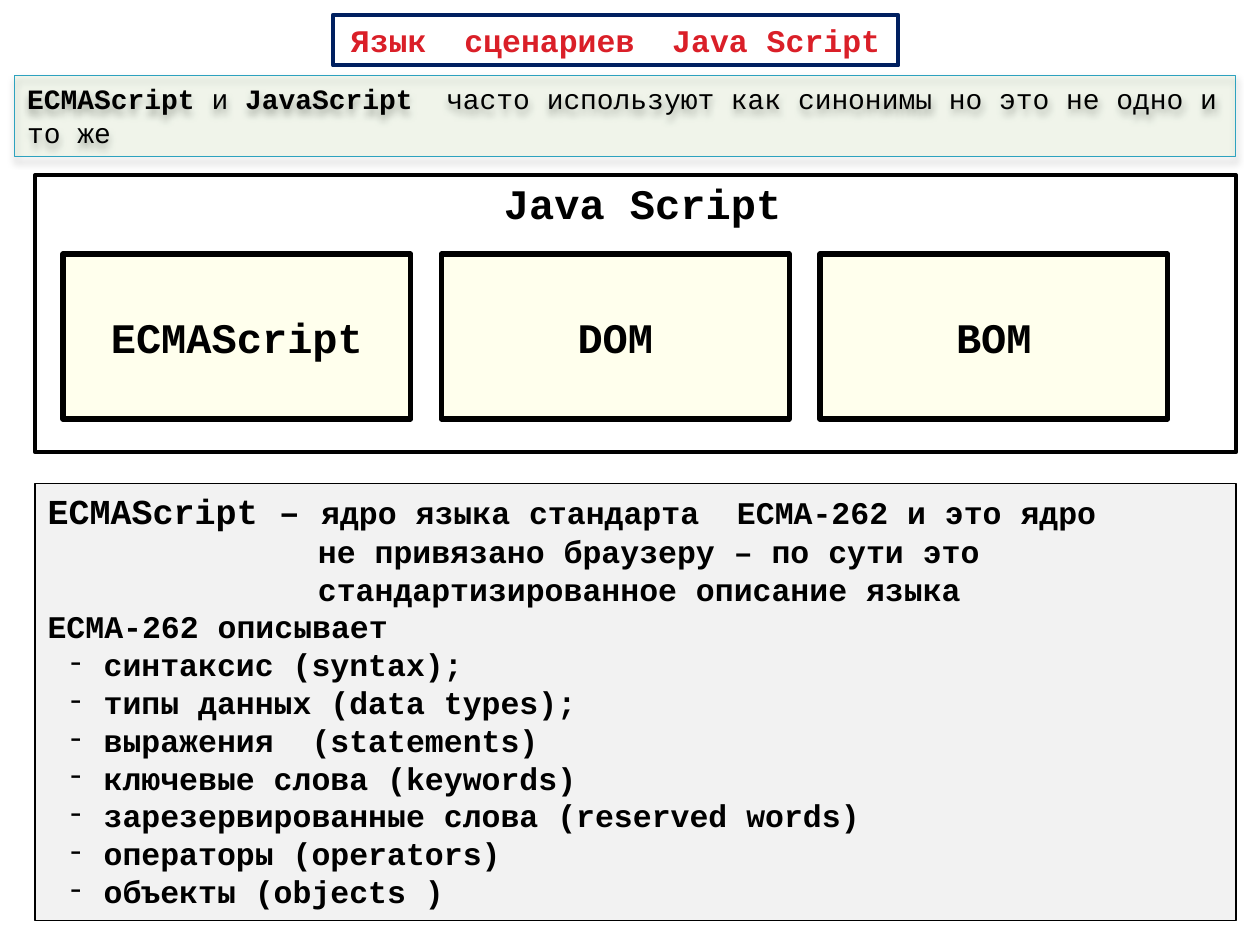
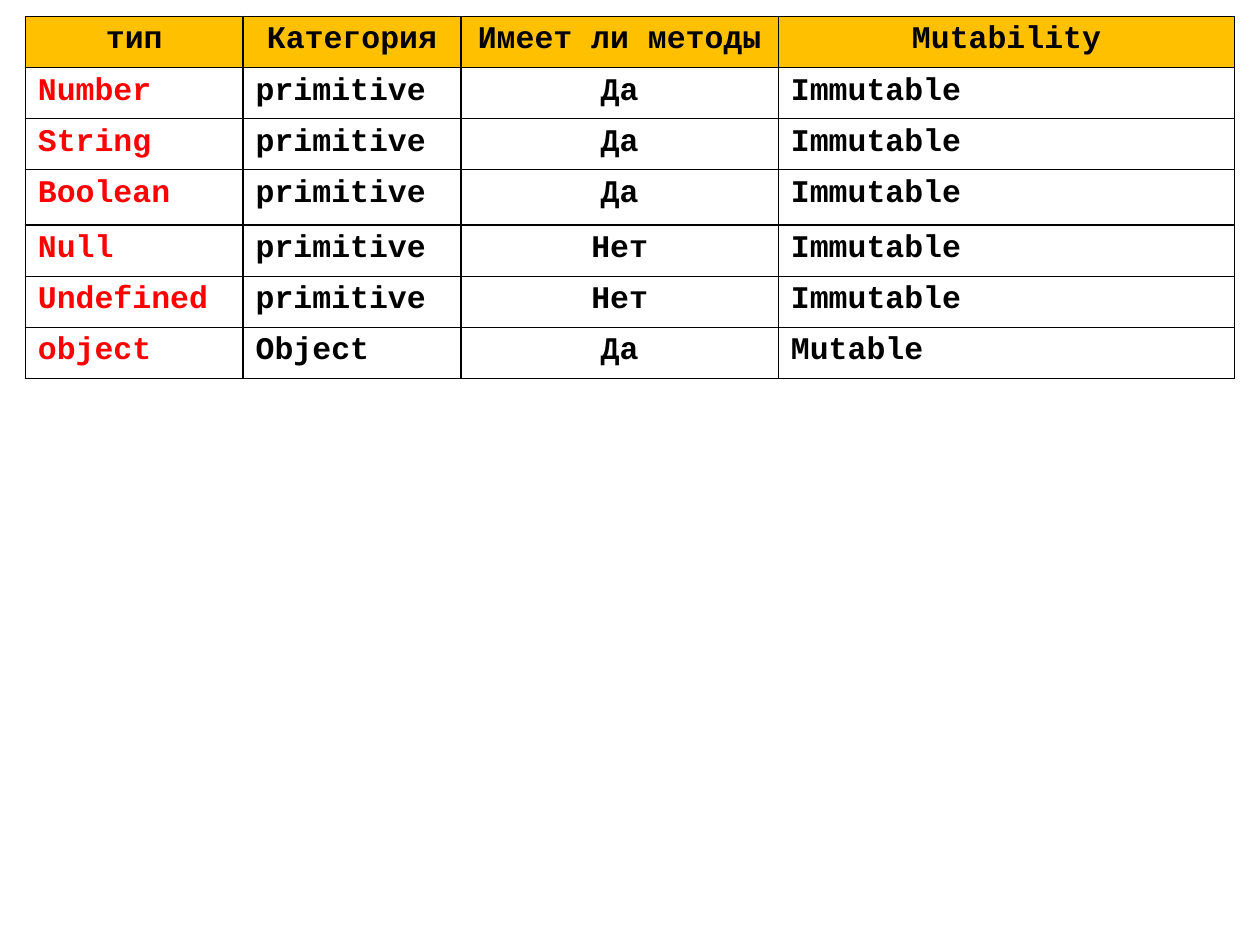
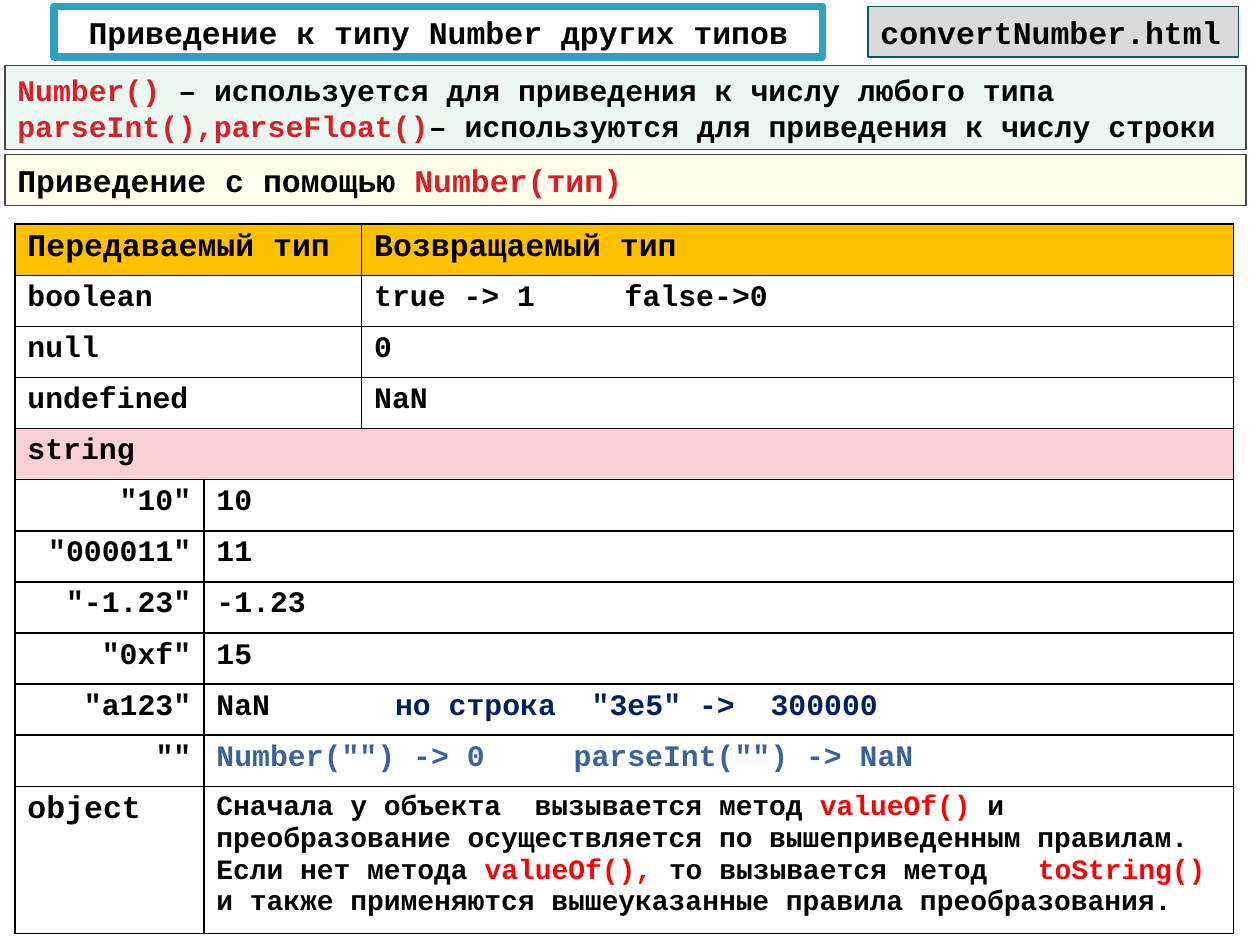
from lxml import etree
from pptx import Presentation, util as u
from pptx.dml.color import RGBColor
from pptx.enum import shapes, text
from pptx.oxml.ns import qn

FONT = "Courier New"
BLACK, WHITE, NAVY, TEAL = "000000", "FFFFFF", "002060", "2DA2BF"
CRIMSON, RED, GOLD, YELLOW = "DA1F28", "FF0000", "FFC000", "FFFF00"
BLUE, GREY = "39639D", "464646"
LEFT, MID, RIGHT = text.PP_ALIGN.LEFT, text.PP_ALIGN.CENTER, text.PP_ALIGN.RIGHT
TOP, CENTRE = text.MSO_ANCHOR.TOP, text.MSO_ANCHOR.MIDDLE


def tint(fill, tone, alpha=100):
    """Make a fill solid; alpha is the opacity in percent."""
    fill.solid()
    fill.fore_color.rgb = RGBColor.from_string(tone)
    if alpha < 100:
        clr = fill._xPr.find(qn("a:solidFill"))[0]
        etree.SubElement(clr, qn("a:alpha"), val=str(alpha * 1000))


def write(frame, lines, size, align=LEFT):
    """Fill a text frame; a line is a list of strings or (string, colour) pairs."""
    for i, line in enumerate(lines):
        par = frame.paragraphs[0] if i == 0 else frame.add_paragraph()
        par.alignment = align
        for part in line:
            words, tone = (part, BLACK) if isinstance(part, str) else part
            run = par.add_run()
            run.text = words
            run.font.name, run.font.size, run.font.bold = FONT, u.Pt(size), True
            tint(run.font.fill, tone)


prs = Presentation()
prs.slide_width, prs.slide_height = u.Cm(25.4), u.Cm(19.05)
intro, types, casts = [prs.slides.add_slide(prs.slide_layouts[6]) for _ in range(3)]

# Boxes: slide, place, fill, opacity, line, width, anchor, align, size, lines
core = [
    ["ECMAScript – ", "ядро языка стандарта  ECMA-262 и это ядро"],
    ["не привязано браузеру – по сути это"],
    ["стандартизированное описание языка"],
    ["ECMA-262 описывает"],
    ["синтаксис (syntax);"],
    ["типы данных (data types);"],
    ["выражения  (statements)"],
    ["ключевые слова (keywords)"],
    ["зарезервированные слова (reserved words)"],
    ["операторы (operators)"],
    ["объекты (objects )"],
]
boxes = [
    (intro, (6.71, 0.3, 11.4, 1.02), WHITE, 100, NAVY, 2.25, CENTRE, MID, 18,
     [[("Язык  сценариев  Java Script", CRIMSON)]]),
    (intro, (0.3, 1.52, 24.61, 1.63), "92D050", 8, TEAL, 0.75, TOP, LEFT, 16,
     [["ECMAScript ", "и ", "JavaScript  ",
       "часто используют как синонимы но это не одно и то же"]]),
    (intro, (0.71, 3.53, 24.21, 5.59), None, 100, BLACK, 2.25, TOP, MID, 24, []),
    (intro, (0.71, 9.75, 24.21, 8.81), "F2F2F2", 100, BLACK, 1, TOP, LEFT, 18, core),
    (casts, (1.09, 0.13, 15.49, 1.02), WHITE, 100, TEAL, 4.33, CENTRE, MID, 18,
     [["Приведение к типу Number других типов"]]),
    (casts, (0.1, 1.32, 25.02, 1.7), "00B050", 8, GREY, 0.75, TOP, LEFT, 17,
     [[("Number()", CRIMSON), " – используется для приведения к числу любого типа"],
      [("parseInt(),parseFloat()", CRIMSON),
       "– используются для приведения к числу строки"]]),
    (casts, (0.1, 3.12, 25.02, 1.02), YELLOW, 8, GREY, 0.75, TOP, LEFT, 18,
     [["Приведение с помощью ", ("Number(тип)", CRIMSON)]]),
    (casts, (17.5, 0.13, 7.47, 1.02), "DADADA", 100, "105766", 0.75, TOP, LEFT, 18,
     [["convertNumber.html"]]),
]
for i, name in enumerate(["ECMAScript", "DOM", "BOM"]):
    boxes.append((intro, (1.27 + 7.63 * i, 5.12, 7.01, 3.33), YELLOW, 7, BLACK, 3,
                  CENTRE, MID, 24, [[name]]))

drawn = []
for slide, place, fill, alpha, line, width, anchor, align, size, lines in boxes:
    box = slide.shapes.add_shape(shapes.MSO_SHAPE.RECTANGLE, *map(u.Cm, place))
    box.shadow.inherit = False
    if fill:
        tint(box.fill, fill, alpha)
    else:
        box.fill.background()
    tint(box.line.fill, line)
    box.line.width = u.Pt(width)
    box.text_frame.word_wrap = True
    box.text_frame.vertical_anchor = anchor
    write(box.text_frame, lines, size, align)
    drawn.append(box)

# Language names are bold in the band, the rest is plain; the band casts a shadow
band, kernel = drawn[1], drawn[3]
for run in band.text_frame.paragraphs[0].runs[1::2]:
    run.font.bold = False
glow = etree.SubElement(band._element.spPr.find(qn("a:effectLst")), qn("a:outerShdw"),
                        blurRad=str(u.Pt(4)), dist=str(u.Pt(3)), dir="5400000",
                        rotWithShape="0")
shade = etree.SubElement(glow, qn("a:srgbClr"), val=BLACK)
etree.SubElement(shade, qn("a:alpha"), val="35000")

# Hanging definition, then a dashed list
pars = kernel.text_frame.paragraphs
pars[0].runs[0].font.size = u.Pt(20)
for par in pars[1:3]:
    par._p.get_or_add_pPr().set("marL", str(u.Cm(5.45)))
for par in pars[4:]:
    props = par._p.get_or_add_pPr()
    props.set("marL", str(u.Cm(1.13)))
    props.set("indent", str(u.Cm(-0.75)))
    etree.SubElement(props, qn("a:buFont"), typeface=FONT)
    etree.SubElement(props, qn("a:buChar"), char="-")

head = intro.shapes.add_textbox(*map(u.Cm, (9.91, 3.45, 6.15, 1.27)))
head.text_frame.word_wrap = False
write(head.text_frame, [["Java Script"]], 24)

# Tables
kinds = [["тип", "Категория", "Имеет ли методы", "Mutability"]]
for name, group, has, change in [
    ("Number", "primitive", "Да", "Immutable"),
    ("String", "primitive", "Да", "Immutable"),
    ("Boolean", "primitive", "Да", "Immutable"),
    ("Null", "primitive", "Нет", "Immutable"),
    ("Undefined", "primitive", "Нет", "Immutable"),
    ("object", "Object", "Да", "Mutable"),
]:
    kinds.append([(name, RED), group, has, change])
results = [
    ["Передаваемый тип", "", "Возвращаемый тип"],
    ["boolean", "", "true -> 1\tfalse->0"],
    ["null", "", "0"],
    ["undefined", "", "NaN"],
    ["string", "", ""],
    ['"10"', "10", ""],
    ['"000011"', "11", ""],
    ['"-1.23"', "-1.23", ""],
    ['"0xf"', "15", ""],
    ['"a123"', ["NaN\t", ('но строка  "3e5" ->  300000', NAVY)], ""],
    ['""', ('Number("") -> 0\tparseInt("") -> NaN', BLUE), ""],
    ["object", [
        "Сначала у объекта  вызывается метод ", ("valueOf() ", RED),
        "и преобразование осуществляется по вышеприведенным правилам. "
        "Если нет метода ", ("valueOf(), ", RED), "то вызывается метод\t",
        ("toString() ", RED),
        "и также применяются вышеуказанные правила преобразования."], ""],
]
grids = []
for slide, left, top, cols, highs, data in [
    (types, 0.51, 0.33, [4.39, 4.39, 6.4, 9.2], [1.03] * 3 + [1.12] + [1.03] * 3, kinds),
    (casts, 0.3, 4.52, [3.81, 3.18, 17.58], [1.03] * 11 + [2.97], results),
]:
    grid = slide.shapes.add_table(len(highs), len(cols), u.Cm(left), u.Cm(top),
                                  u.Cm(sum(cols)), u.Cm(sum(highs))).table
    grid.first_row = grid.horz_banding = False
    for col, wide in zip(grid.columns, cols):
        col.width = u.Cm(wide)
    for r, (row, high) in enumerate(zip(grid.rows, highs)):
        row.height = u.Cm(high)
        for c, cell in enumerate(row.cells):
            props = cell._tc.get_or_add_tcPr()
            for side in ("lnL", "lnR", "lnT", "lnB"):
                edge = etree.SubElement(props, qn("a:" + side), w=str(u.Pt(1)))
                ink = etree.SubElement(edge, qn("a:solidFill"))
                etree.SubElement(ink, qn("a:srgbClr"), val=BLACK)
            tint(cell.fill, WHITE if r else GOLD)
            item = data[r][c]
            size, align = 18, LEFT
            if slide is types and (r == 0 or c == 2):
                align = MID
            if slide is casts and r:
                size = 17
                if r == 11:
                    size = 16 if c else 18
                elif r > 4 and c == 0:
                    align = RIGHT
            if item:
                write(cell.text_frame, [item if isinstance(item, list) else [item]],
                      size, align)
    grids.append(grid)

cast = grids[1]
for r in range(12):
    first, last = (0, 1) if r < 4 else (0, 2) if r == 4 else (1, 2)
    cast.cell(r, first).merge(cast.cell(r, last))
for c in range(3):
    tint(cast.cell(4, c).fill, "F9D1D3")
for r, c, stop in [(1, 2, 5.05), (9, 1, 3.6), (10, 1, 7.2), (11, 1, 16.56)]:
    props = cast.cell(r, c).text_frame.paragraphs[0]._p.get_or_add_pPr()
    tabs = etree.SubElement(props, qn("a:tabLst"))
    etree.SubElement(tabs, qn("a:tab"), pos=str(u.Cm(stop)), algn="l")

prs.save("out.pptx")
